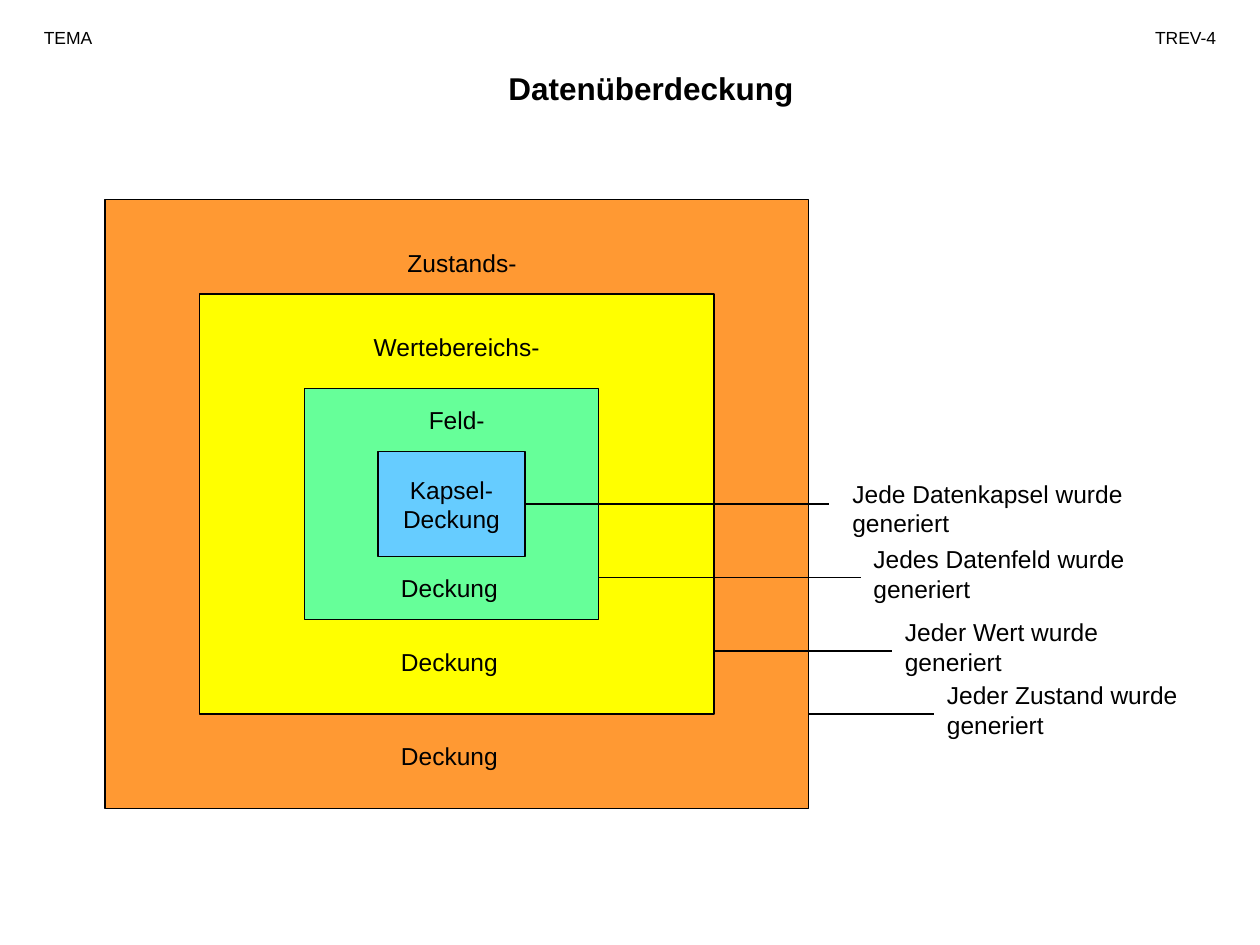
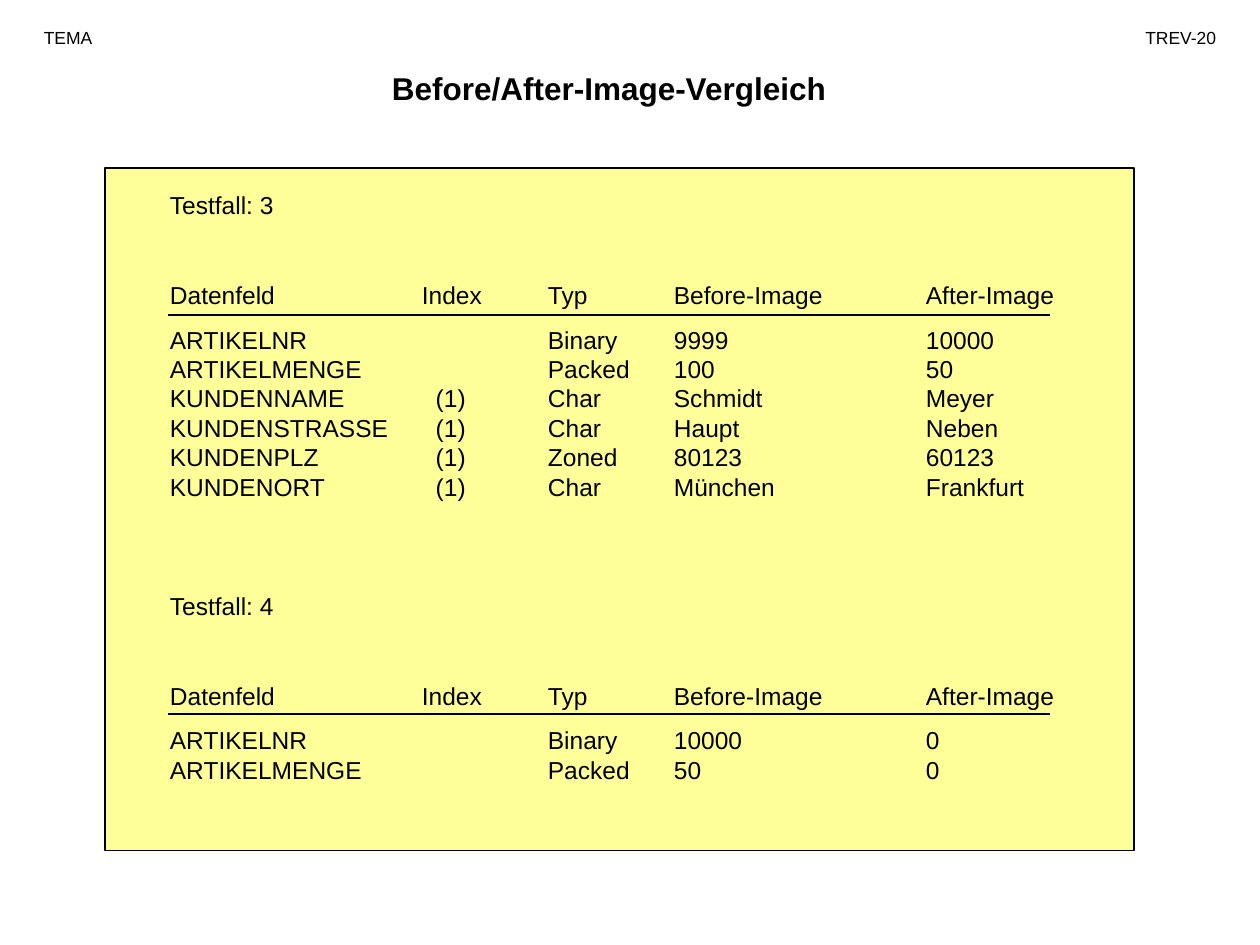
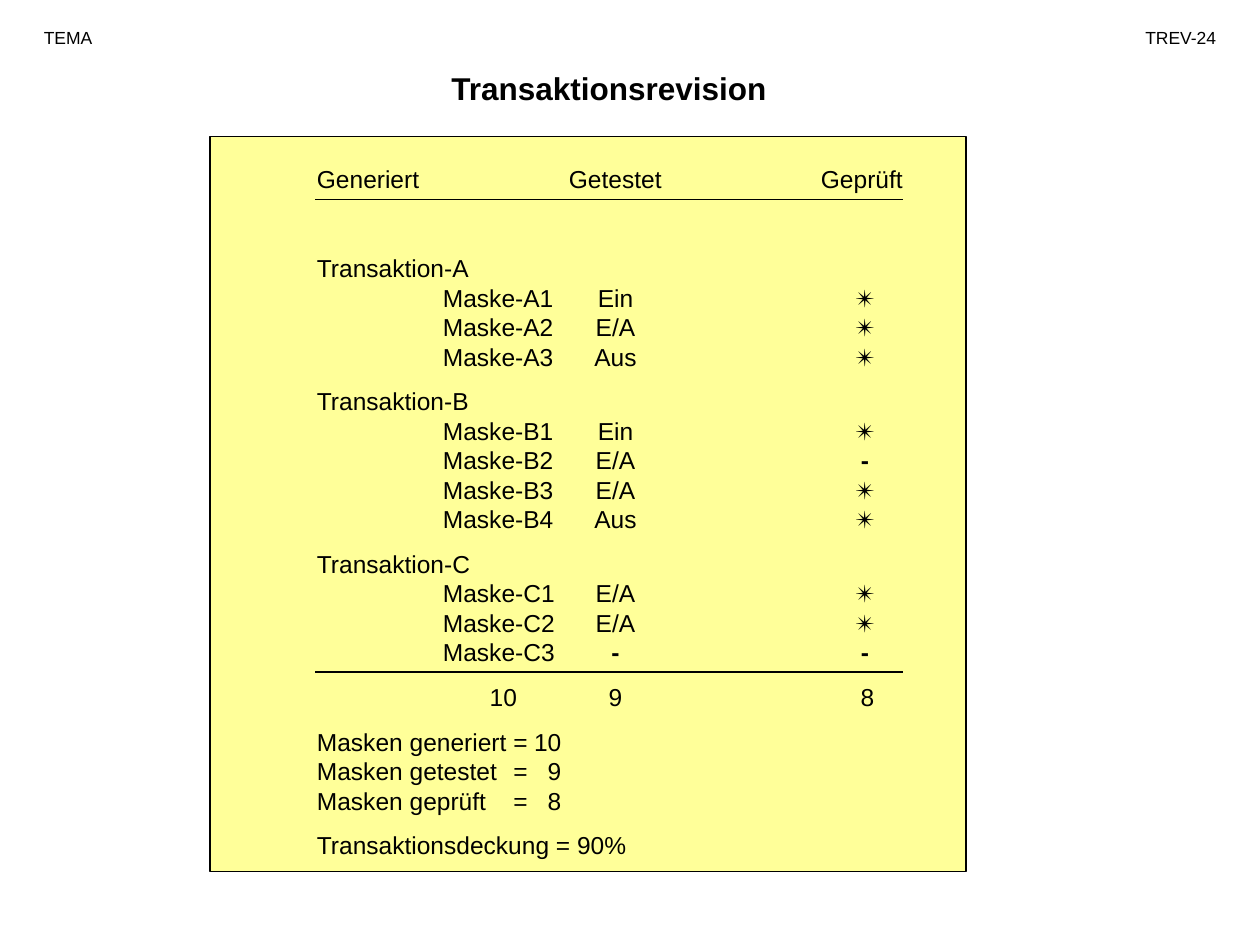
from dataclasses import dataclass
from lxml.etree import SubElement
from pptx import Presentation
from pptx.dml.color import RGBColor
from pptx.enum.shapes import MSO_CONNECTOR, MSO_SHAPE
from pptx.enum.text import MSO_ANCHOR, MSO_AUTO_SIZE, PP_ALIGN
from pptx.oxml.ns import qn
from pptx.util import Inches, Pt


@dataclass(frozen=True)
class Theme:
    font: str = "Arial"
    ink: str = "000000"
    panel: str = "FFFF99"
    state: str = "FF9933"
    value: str = "FFFF00"
    field: str = "66FF99"
    core: str = "66CCFF"
    title: int = 18
    body: int = 14
    small: int = 10
    rule: float = 0.74
    gap: float = 8.8
    wide: float = 34.5
    split: float = 51.3


T = Theme()
LEFT, MID, RIGHT = PP_ALIGN.LEFT, PP_ALIGN.CENTER, PP_ALIGN.RIGHT
HEAD = [(2, "l"), (3, "l"), (4, "l"), (6, "l")]
DATA = [(2.11, "l"), *HEAD[1:]]
MARKS = [(1, "l"), (2.37, "ctr"), (4.35, "ctr")]
SUMS = [(1.48, "ctr"), (2.37, "ctr"), (4.37, "ctr")]
EQUAL = [(1.56, "l"), (1.94, "r")]


def unit(n):
    return Inches(n / 12)


def color(code):
    return RGBColor.from_string(code)


def add_run(para, text, size, bold):
    run = para.add_run()
    run.text = text
    font = run.font
    font.name, font.size, font.bold = T.font, Pt(size), bold
    font.color.rgb = color(T.ink)


def write(frame, lines, size=T.body, bold=False, align=LEFT):
    for i, (text, gap, tabs) in enumerate(lines):
        para = frame.paragraphs[0] if i == 0 else frame.add_paragraph()
        para.alignment = align
        para.space_before = Pt(gap)
        if tabs:
            stops = SubElement(para._p.get_or_add_pPr(), qn("a:tabLst"))
            for pos, kind in tabs:
                SubElement(stops, qn("a:tab"), pos=str(Inches(pos)), algn=kind)
        for j, part in enumerate(text.split("**")):
            if part:
                add_run(para, part, size, bold or j % 2 == 1)


def add_text(slide, x, y, w, h, lines, **style):
    if isinstance(lines, str):
        lines = [(lines, 0, None)]
    box = slide.shapes.add_textbox(*map(unit, (x, y, w, h)))
    frame = box.text_frame
    frame.word_wrap = True
    frame.auto_size = MSO_AUTO_SIZE.SHAPE_TO_FIT_TEXT
    write(frame, lines, **style)


def add_box(slide, x, y, w, h, fill):
    box = slide.shapes.add_shape(MSO_SHAPE.RECTANGLE, *map(unit, (x, y, w, h)))
    box.shadow.inherit = False
    box.fill.solid()
    box.fill.fore_color.rgb = color(fill)
    box.line.color.rgb = color(T.ink)
    box.line.width = Pt(T.rule)
    return box


def add_rule(slide, x, end, y):
    line = slide.shapes.add_connector(
        MSO_CONNECTOR.STRAIGHT, unit(x), unit(y), unit(end), unit(y))
    line.line.color.rgb = color(T.ink)
    line.line.width = Pt(T.rule)
    SubElement(line._element.spPr, qn("a:effectLst"))


def add_slide(deck, title, code, x=9, w=98, tag=13):
    slide = deck.slides.add_slide(deck.slide_layouts[6])
    add_text(slide, x, 6, w, 4.8, title, size=T.title, bold=True, align=MID)
    add_text(slide, 3, 2, 11, 3.2, "TEMA", size=T.small)
    add_text(slide, 117 - tag, 2, tag, 3.2, code, size=T.small, align=RIGHT)
    return slide


def group(rows, tabs, gap=T.gap):
    return [(row, 0 if i else gap, tabs) for i, row in enumerate(rows)]


def cover(deck):
    slide = add_slide(deck, "Datenüberdeckung", "TREV-4", 26, 72, 11)
    rings = [
        (10, 19, 67, 58, T.state), (19, 28, 49, 40, T.value),
        (29, 37, 28, 22, T.field), (36, 43, 14, 10, T.core),
    ]
    for ring in rings:
        core = add_box(slide, *ring)
    frame = core.text_frame
    frame.word_wrap = False
    frame.vertical_anchor = MSO_ANCHOR.MIDDLE
    write(frame, group(["Kapsel-", "Deckung"], None, 0), align=MID)

    names = [(31, 23, "Zustands-"), (30.5, 31, "Wertebereichs-"), (30.5, 38, "Feld-")]
    for x, y, name in names:
        add_text(slide, x, y, 26, 4, name, align=MID)
    for y in (70, 61, 54):
        add_text(slide, 37, y, 14, 4, "Deckung")

    notes = [
        (77, 89, 68, 89, 64.2, 27, "Jeder Zustand wurde generiert"),
        (68, 85, 62, 85, 58.2, 30, "Jeder Wert wurde generiert"),
        (57, 82, 55, 82, 51.25, 27, "Jedes Datenfeld wurde generiert"),
        (50, 79, 48, 80, 45, 29, "Jede Datenkapsel wurde generiert"),
    ]
    for x, end, y, left, top, w, note in reversed(notes):
        add_rule(slide, x, end, y)
        add_text(slide, left, top, w, 6.8, note)


def case(num, rows, gap):
    head = "Datenfeld\tIndex\tTyp\tBefore-Image\tAfter-Image"
    return [(f"Testfall: {num}", gap, None), (head, T.wide, HEAD),
            *group(["\t".join(row) for row in rows], DATA)]


def compare(deck):
    slide = add_slide(deck, "Before/After-Image-Vergleich", "TREV-20")
    add_box(slide, 10, 16, 98, 65, T.panel)
    first = [
        ("ARTIKELNR", "", "Binary", "9999", "10000"),
        ("ARTIKELMENGE", "", "Packed", "100", "50"),
        ("KUNDENNAME", "(1)", "Char", "Schmidt", "Meyer"),
        ("KUNDENSTRASSE", "(1)", "Char", "Haupt", "Neben"),
        ("KUNDENPLZ", "(1)", "Zoned", "80123", "60123"),
        ("KUNDENORT", "(1)", "Char", "München", "Frankfurt"),
    ]
    second = [
        ("ARTIKELNR", "", "Binary", "10000", "0"),
        ("ARTIKELMENGE", "", "Packed", "50", "0"),
    ]
    lines = case(3, first, T.gap) + case(4, second, T.split)
    add_text(slide, 15, 17.5, 94, 57.7, lines)
    for y in (30, 68):
        add_rule(slide, 16, 100, y)


def masks(name, marks, gap):
    rows = [f"\tMaske-{name}{i}\t{test}\t{check}"
            for i, (test, check) in enumerate(marks, 1)]
    return group([f"Transaktion-{name}", *rows], MARKS, gap)


def audit(deck):
    slide = add_slide(deck, "Transaktionsrevision", "TREV-24")
    add_box(slide, 20, 13, 72, 70, T.panel)
    star, dash = "✴", "**-**"
    lines = [
        ("Generiert\tGetestet\tGeprüft", T.gap, [(2, "l"), (4, "l")]),
        *masks("A", [("Ein", star), ("E/A", star), ("Aus", star)], T.wide),
        *masks("B", [("Ein", star), ("E/A", dash), ("E/A", star), ("Aus", star)], T.gap),
        *masks("C", [("E/A", star), ("E/A", star), (dash, dash)], T.gap),
        ("\t10\t9\t8", T.gap, SUMS),
        *group(["Masken generiert\t=\t10", "Masken getestet\t=\t9",
                "Masken geprüft\t=\t8"], EQUAL),
        ("Transaktionsdeckung = 90%", T.gap, None),
    ]
    add_text(slide, 29, 15, 63, 67.4, lines)
    for y in (19, 64):
        add_rule(slide, 30, 86, y)


def main():
    deck = Presentation()
    deck.slide_width, deck.slide_height = Inches(10), Inches(7.5)
    for build in (cover, compare, audit):
        build(deck)
    deck.save("out.pptx")


main()
